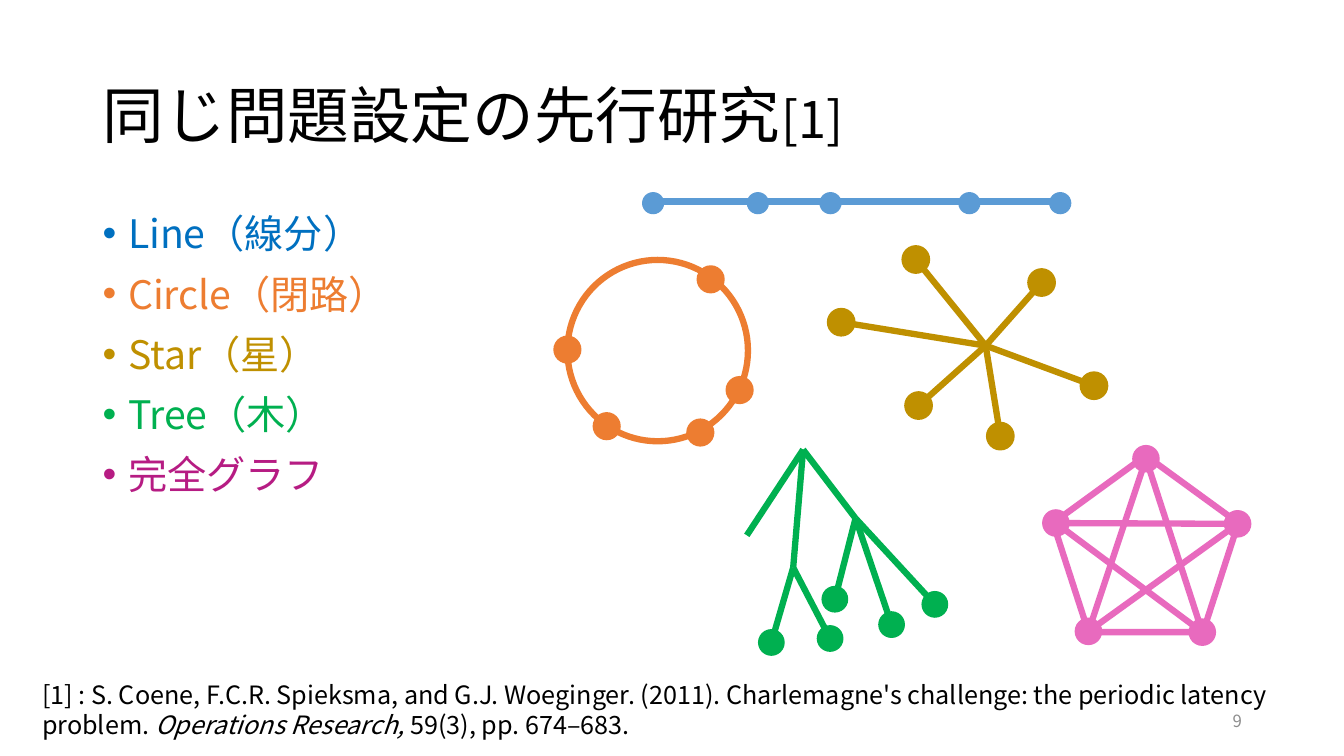
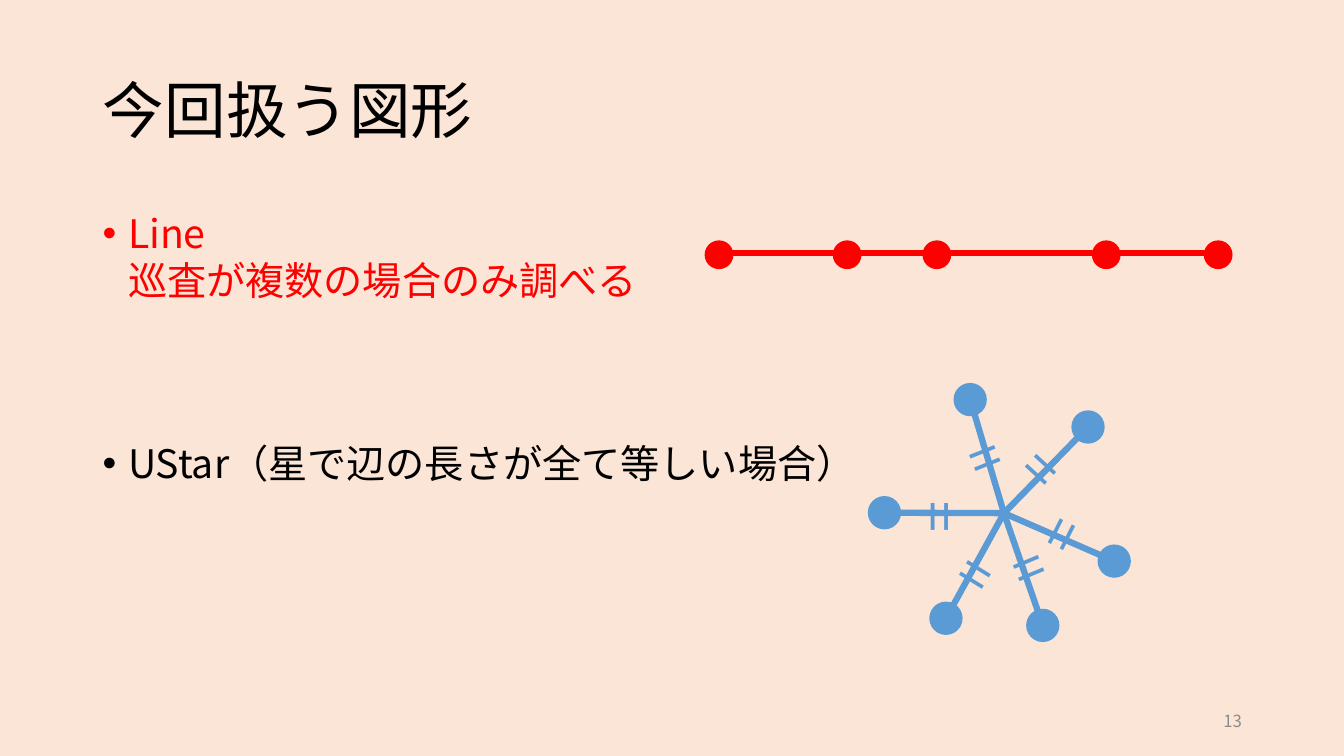
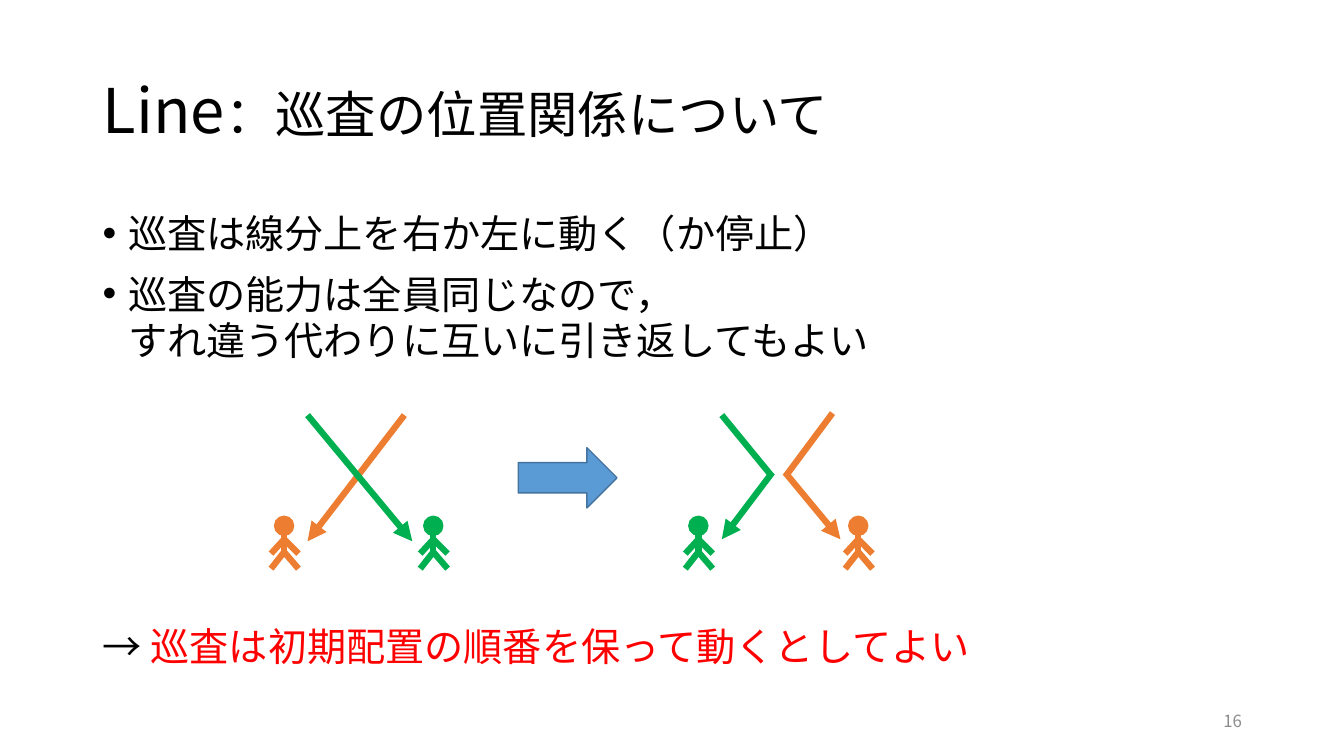
from dataclasses import dataclass, field

from lxml import etree
from pptx import Presentation
from pptx.dml.color import RGBColor
from pptx.enum.shapes import MSO_CONNECTOR, MSO_SHAPE
from pptx.enum.text import MSO_ANCHOR, MSO_AUTO_SIZE, PP_ALIGN
from pptx.oxml.ns import qn
from pptx.util import Cm, Pt

STRAIGHT = MSO_CONNECTOR.STRAIGHT
OVAL = MSO_SHAPE.OVAL
PENTAGON = MSO_SHAPE.REGULAR_PENTAGON
RIGHT_ARROW = MSO_SHAPE.RIGHT_ARROW
TOP, MIDDLE = MSO_ANCHOR.TOP, MSO_ANCHOR.MIDDLE
LEFT, RIGHT = PP_ALIGN.LEFT, PP_ALIGN.RIGHT
NO_AUTOFIT = MSO_AUTO_SIZE.NONE
TITLE_ONLY = 5

# Shared style; all positions are in centimetres
FONT = "Noto Sans CJK JP"
BLACK, WHITE, PEACH, GRAY = "000000", "FFFFFF", "FBE5D6", "8C8C8C"
RED, BLUE, DARK_BLUE, TEXT_BLUE = "FF0000", "5B9BD5", "43739E", "0070C0"
ORANGE, GOLD, GREEN = "ED7D31", "BF9000", "00B050"
PINK, PURPLE = "E86ABE", "B61C83"
STROKE = 4.5
BODY_SIZE, BODY_LEADING = 28, 33

Point = tuple[float, float]
Edge = tuple[Point, Point]
Frame = tuple[float, float, float, float]


@dataclass
class Span:
    text: str
    color: str = BLACK
    size: float = BODY_SIZE
    italic: bool = False


@dataclass
class Para:
    spans: list[Span]
    before: float = 10
    bullet: bool = True


@dataclass
class Graph:
    color: str
    dot_size: float
    dots: list[Point]
    edges: list[Edge] = field(default_factory=list)
    outline: float = 0


def rgb(color: str) -> RGBColor:
    return RGBColor.from_string(color)


# Text
def add_span(para, span: Span) -> None:
    for index, line in enumerate(span.text.split("\n")):
        if index:
            para.add_line_break()
        run = para.add_run()
        run.text = line
        font = run.font
        font.size, font.italic, font.name = Pt(span.size), span.italic, FONT
        font.color.rgb = rgb(span.color)
        properties = run._r.get_or_add_rPr()
        etree.SubElement(properties, qn("a:ea")).set("typeface", FONT)


def add_bullet(para) -> None:
    properties = para._p.get_or_add_pPr()
    properties.set("marL", str(Cm(0.64)))
    properties.set("indent", str(-Cm(0.64)))
    etree.SubElement(properties, qn("a:buFont")).set("typeface", "Arial")
    etree.SubElement(properties, qn("a:buChar")).set("char", "•")


def write_text(box, paras: list[Para], *, leading, align=LEFT, anchor=TOP) -> None:
    frame = box.text_frame
    frame.word_wrap = True
    frame.auto_size = NO_AUTOFIT
    frame.vertical_anchor = anchor
    for index, content in enumerate(paras):
        para = frame.add_paragraph() if index else frame.paragraphs[0]
        para.alignment = align
        para.line_spacing = leading
        para.space_before = Pt(content.before)
        if content.bullet:
            add_bullet(para)
        for span in content.spans:
            add_span(para, span)


def add_text(page, frame: Frame, spans: list[Span], **layout):
    box = page.shapes.add_textbox(*map(Cm, frame))
    write_text(box, [Para(spans, before=0, bullet=False)], **layout)
    return box


def add_body(page, width: float, paras: list[Para]) -> None:
    box = page.shapes.add_textbox(Cm(2.34), Cm(5.18), Cm(width), Cm(12))
    write_text(box, paras, leading=Pt(BODY_LEADING))


# Shapes
def add_figure(page, kind, frame: Frame, *, fill="", line="", width=1.0):
    shape = page.shapes.add_shape(kind, *map(Cm, frame))
    shape.shadow.inherit = False
    if fill:
        shape.fill.solid()
        shape.fill.fore_color.rgb = rgb(fill)
    else:
        shape.fill.background()
    if line and width:
        shape.line.color.rgb = rgb(line)
        shape.line.width = Pt(width)
    else:
        shape.line.fill.background()
    return shape


def add_dot(page, center: Point, size: float, color: str, outline: float) -> None:
    x, y = center
    frame = (x - size / 2, y - size / 2, size, size)
    add_figure(page, OVAL, frame, fill=color, line=color, width=outline)


def add_line(page, start: Point, end: Point, color: str, arrow: bool = False) -> None:
    line = page.shapes.add_connector(STRAIGHT, *map(Cm, (*start, *end)))
    line.line.color.rgb = rgb(color)
    line.line.width = Pt(STROKE)
    properties = line.element.spPr
    if arrow:
        tail = etree.SubElement(properties.find(qn("a:ln")), qn("a:tailEnd"))
        tail.set("type", "triangle")
    etree.SubElement(properties, qn("a:effectLst"))


def add_graph(page, graph: Graph) -> None:
    for start, end in graph.edges:
        add_line(page, start, end, graph.color)
    for dot in graph.dots:
        add_dot(page, dot, graph.dot_size, graph.color, graph.outline)


def path_graph(color: str, size: float, y: float, stops: list[float], outline: float = 0) -> Graph:
    edge = ((stops[0], y - 0.04), (stops[-1], y - 0.04))
    return Graph(color, size, [(x, y) for x in stops], [edge], outline)


def star_graph(color: str, size: float, hub: Point, dots: list[Point], outline: float = 0) -> Graph:
    return Graph(color, size, dots, [(hub, dot) for dot in dots], outline)


def add_person(page, x: float, color: str) -> None:
    head = 13.25
    neck, shoulder, hip = head + 0.24, head + 0.34, head + 0.66
    add_line(page, (x, neck), (x, hip + 0.05), color)
    for side in (-0.33, 0.36):
        add_line(page, (x, shoulder), (x + side, head + 0.7), color)
        add_line(page, (x, hip), (x + side, head + 1.08), color)
    add_dot(page, (x, head), 0.48, color, 1)


# Page with background, title and number
def add_page(deck, title: list[Span], number: int, *, background=WHITE, leading=0.9):
    page = deck.slides.add_slide(deck.slide_layouts[TITLE_ONLY])
    page.background.fill.solid()
    page.background.fill.fore_color.rgb = rgb(background)
    box = page.shapes.title
    box.left, box.top, box.width, box.height = map(Cm, (2.34, 1.02, 29.21, 3.68))
    write_text(box, [Para(title, 0, False)], leading=leading, anchor=MIDDLE)
    add_text(page, (23.93, 17.65, 7.62, 1.02), [Span(str(number), GRAY, 12)],
             leading=1.0, align=RIGHT, anchor=MIDDLE)
    return page


def build_prior_work(deck) -> None:
    title = [Span("同じ問題設定の先行研究", size=44), Span("[1]", size=36)]
    page = add_page(deck, title, 9, leading=1.0)
    topics = [("Line（線分）", TEXT_BLUE), ("Circle（閉路）", ORANGE), ("Star（星）", GOLD),
              ("Tree（木）", GREEN), ("完全グラフ", PURPLE)]
    add_body(page, 9.58, [Para([Span(text, color)]) for text, color in topics])

    # Tree
    root, left_fork, right_fork = (20.24, 11.33), (19.99, 14.3), (21.56, 13.06)
    left_leaves = [(19.44, 16.19), (20.92, 16.09)]
    right_leaves = [(21.04, 15.1), (22.47, 15.74), (23.56, 15.23)]
    branches = [(root, end) for end in (right_fork, (18.82, 13.49), left_fork)]
    branches += [(left_fork, leaf) for leaf in left_leaves]
    branches += [(right_fork, leaf) for leaf in right_leaves]
    add_graph(page, Graph(GREEN, 0.64, left_leaves + right_leaves, branches, 1))

    # Line and star
    add_graph(page, path_graph(BLUE, 0.56, 5.12, [16.46, 19.1, 20.93, 24.43, 26.72]))
    star_dots = [(23.08, 6.54), (26.25, 7.12), (27.57, 9.72),
                 (25.21, 10.99), (23.15, 10.22), (21.2, 8.12)]
    add_graph(page, star_graph(GOLD, 0.69, (24.84, 8.71), star_dots, 1))

    # Complete graph: pentagon and its diagonals
    add_figure(page, PENTAGON, (26.54, 11.48, 4.67, 4.45), line=PINK, width=STROKE)
    corners = [(28.88, 11.56), (31.19, 13.2), (30.3, 15.93), (27.43, 15.91), (26.61, 13.18)]
    diagonals = [(corner, corners[(index + 2) % 5]) for index, corner in enumerate(corners)]
    add_graph(page, Graph(PINK, 0.66, corners, diagonals, 1))

    # Circle
    add_figure(page, OVAL, (14.3, 6.55, 4.55, 4.57), line=ORANGE, width=STROKE)
    ring_dots = [(17.91, 7.04), (14.3, 8.81), (15.29, 10.74), (17.65, 10.9), (18.64, 9.83)]
    add_graph(page, Graph(ORANGE, 0.71, ring_dots))

    # Reference
    reference = [
        Span("[1] : S. Coene, F.C.R. Spieksma, and G.J. Woeginger. (2011). "
             "Charlemagne's challenge: the periodic latency problem. ", size=18),
        Span("Operations Research, ", size=18, italic=True),
        Span("59(3), pp. 674–683.", size=18),
    ]
    add_text(page, (0.81, 17, 32.39, 1.8), reference, leading=Pt(21.5))


def build_targets(deck) -> None:
    page = add_page(deck, [Span("今回扱う図形", size=44)], 13, background=PEACH)
    add_body(page, 20.75, [
        Para([Span("Line\n巡査が複数の場合のみ調べる", RED)]),
        Para([Span("UStar（星で辺の長さが全て等しい場合）")], before=98),
    ])
    add_graph(page, path_graph(RED, 0.69, 6.42, [18.12, 21.35, 23.61, 27.88, 30.7], 1))

    # Star with equal edges
    dots = [(28.08, 14.14), (24.45, 10.07), (22.29, 12.92),
            (23.84, 15.58), (26.28, 15.76), (27.42, 10.76)]
    add_graph(page, star_graph(BLUE, 0.84, (25.3, 12.93), dots))

    # Equal-length marks: left, top, rotation
    marks = [(24.16, 10.49, 338.2), (25.58, 10.9, 42.5), (26.01, 12.6, 116.8),
             (25.1, 13.44, 157.3), (23.72, 13.49, 211.6), (22.89, 11.94, 270)]
    for left, top, rotation in marks:
        mark = add_text(page, (left, top, 1.5, 1.96), [Span("=", BLUE, 40)],
                        leading=Pt(48), anchor=MIDDLE)
        mark.rotation = rotation


def build_positions(deck) -> None:
    title = [Span("Line", size=44), Span("：巡査の位置関係について", size=36)]
    page = add_page(deck, title, 16)
    add_body(page, 29.21, [
        Para([Span("巡査は線分上を右か左に動く（か停止）")]),
        Para([Span("巡査の能力は全員同じなので，\nすれ違う代わりに互いに引き返してもよい")]),
        Para([Span("→ "), Span("巡査は初期配置の順番を保って動くとしてよい", RED)],
             before=186, bullet=False),
    ])

    # Routes: start, end, colour, arrowhead
    routes = [
        ((10.19, 10.46), (7.75, 13.64), ORANGE, True),
        ((7.75, 10.46), (10.39, 13.64), GREEN, True),
        ((19.46, 11.91), (18.19, 13.59), GREEN, True),
        ((19.79, 11.91), (21.18, 13.59), ORANGE, True),
        ((19.46, 12.01), (18.19, 10.46), GREEN, False),
        ((19.79, 12.01), (20.98, 10.41), ORANGE, False),
    ]
    for start, end, color, arrow in routes:
        add_line(page, start, end, color, arrow)
    add_figure(page, RIGHT_ARROW, (13.06, 11.28, 2.49, 1.52), fill=BLUE, line=DARK_BLUE)
    for x, color in ((10.92, GREEN), (7.16, ORANGE), (21.63, ORANGE), (17.6, GREEN)):
        add_person(page, x, color)


def main() -> None:
    deck = Presentation()
    deck.slide_width, deck.slide_height = Cm(33.87), Cm(19.05)
    build_prior_work(deck)
    build_targets(deck)
    build_positions(deck)
    deck.save("out.pptx")


if __name__ == "__main__":
    main()
